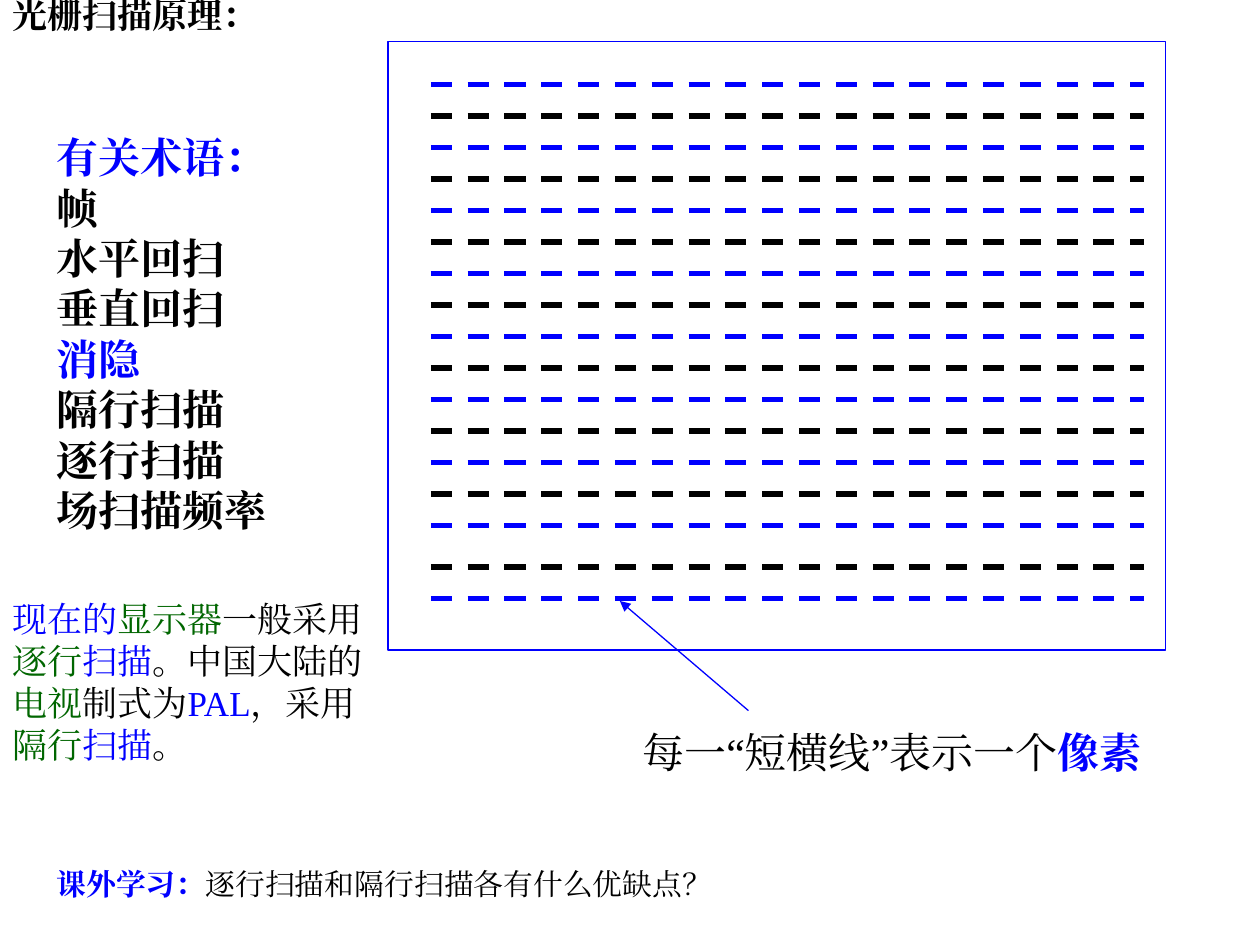
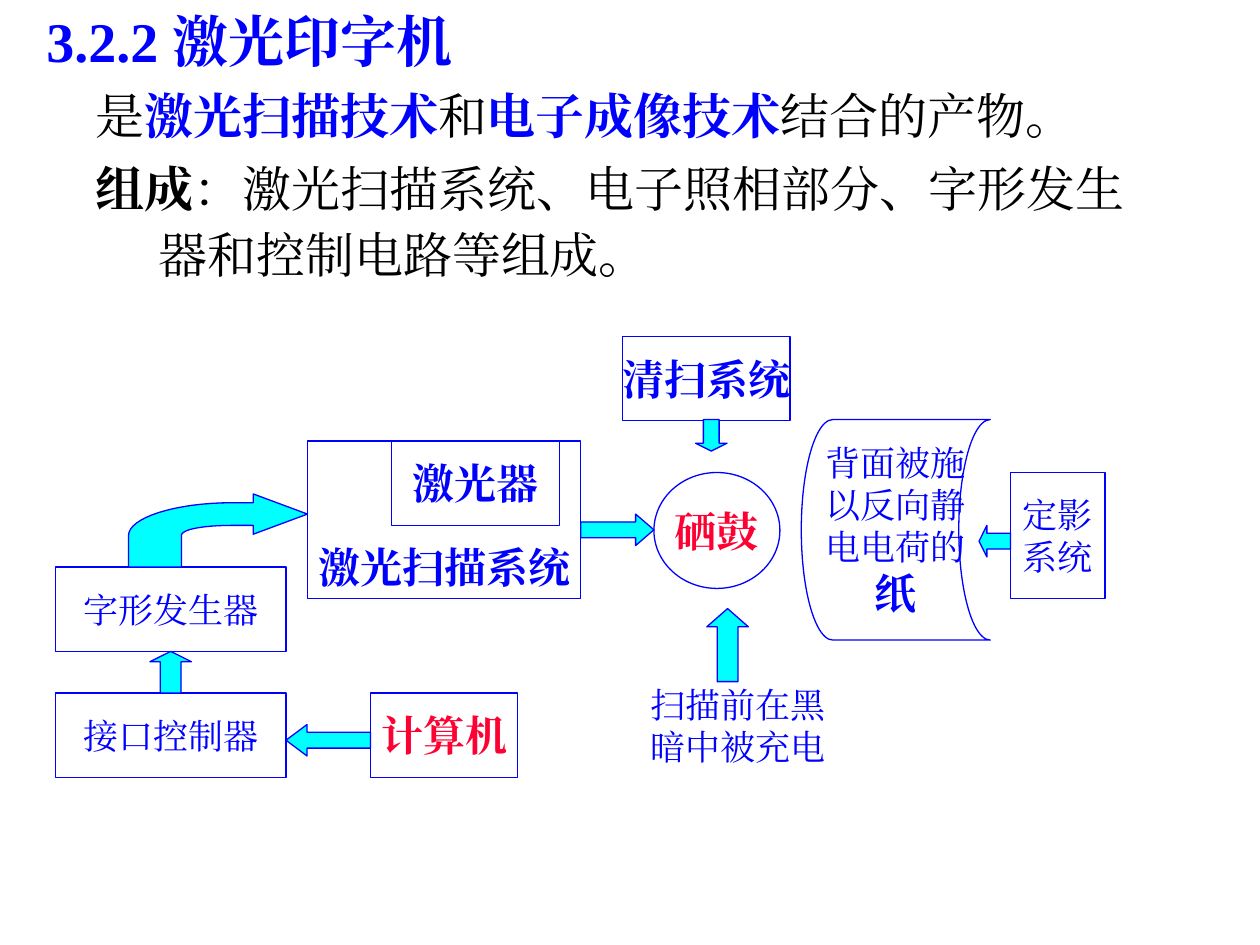
from lxml import etree
from pptx import Presentation
from pptx.dml.color import RGBColor
from pptx.enum.dml import MSO_LINE
from pptx.enum.lang import MSO_LANGUAGE_ID
from pptx.enum.shapes import MSO_CONNECTOR, MSO_SHAPE
from pptx.enum.text import MSO_ANCHOR, PP_ALIGN
from pptx.oxml.ns import qn
from pptx.util import Inches, Pt

BLUE = RGBColor(0x00, 0x00, 0xFF)
BLACK = RGBColor(0x00, 0x00, 0x00)
GREEN = RGBColor(0x00, 0x66, 0x00)
RED = RGBColor(0xFF, 0x00, 0x33)
CYAN = RGBColor(0x00, 0xFF, 0xFF)
WHITE = RGBColor(0xFF, 0xFF, 0xFF)

RECT, OVAL = MSO_SHAPE.RECTANGLE, MSO_SHAPE.OVAL
STORAGE = MSO_SHAPE.FLOWCHART_STORED_DATA
UP, DOWN = MSO_SHAPE.UP_ARROW, MSO_SHAPE.DOWN_ARROW
LEFT, RIGHT = MSO_SHAPE.LEFT_ARROW, MSO_SHAPE.RIGHT_ARROW
TOP, MIDDLE, BOTTOM = MSO_ANCHOR.TOP, MSO_ANCHOR.MIDDLE, MSO_ANCHOR.BOTTOM
ALIGN_LEFT, CENTER, JUSTIFY = PP_ALIGN.LEFT, PP_ALIGN.CENTER, PP_ALIGN.JUSTIFY
STRAIGHT, DASH = MSO_CONNECTOR.STRAIGHT, MSO_LINE.DASH
CHINESE = MSO_LANGUAGE_ID.SIMPLIFIED_CHINESE

FONT = "Times New Roman"
LINE_HEIGHT = 1.2
THIN, THICK = 0.75, 3

# A paragraph is (size, spans, options); a span is (text, colour, bold).
# Slide 1: raster scanning
SCREEN = (3.08, 0.33, 6.17, 4.83)
SCAN_COUNT, SCAN_TOP, SCAN_GAP = 17, 0.67, 0.25
SCAN_LEFT, SCAN_RIGHT = 3.42, 9.08
BREAK_AFTER, BREAK_GAP = 14, 0.08
PIXEL_POINTER = (5.94, 5.64, 4.92, 4.77)

TERMS = [("有关术语：", BLUE), ("帧", BLACK), ("水平回扫", BLACK),
         ("垂直回扫", BLACK), ("消隐", BLUE), ("隔行扫描", BLACK),
         ("逐行扫描", BLACK), ("场扫描频率", BLACK)]

SCAN_TEXTS = [
    ((0, 0, 3.03, 0.68), TOP,
     [(20, [("光栅扫描原理：", BLACK, True)], {"line_spacing": Pt(16.8)})]),
    ((0.35, 0.91, 2.05, 3.47), MIDDLE,
     [(24, [(term, color, True)], {}) for term, color in TERMS]),
    ((0, 4.69, 3.03, 1.44), TOP,
     [(20, [("现在的", BLUE, False), ("显示器", GREEN, False),
            ("一般采用", BLACK, False), ("逐行", GREEN, False),
            ("扫描", BLUE, False), ("。中国大陆的", BLACK, False),
            ("电视", GREEN, False), ("制式为", BLACK, False),
            ("PAL", BLUE, False), ("，采用", BLACK, False),
            ("隔行", GREEN, False), ("扫描", BLUE, False),
            ("。", BLACK, False)], {})]),
    ((5, 5.72, 4.17, 0.9), TOP,
     [(24, [("每一“短横线”表示一个", BLACK, False), ("像素", BLUE, True)], {})]),
    ((0.35, 6.82, 6.42, 0.39), TOP,
     [(17, [("课外学习：", BLUE, True),
            ("逐行扫描和隔行扫描各有什么优缺点？", BLACK, False)], {})]),
]

# Slide 2: laser printer
INTRO_AREA = (0.27, 0, 8.75, 2.5)
TITLE_TAB = 1.21
INTRO = [
    (32, [("3.2.2\t激光印字机", BLUE, True)], {}),
    (28, [("是", BLACK, False), ("激光扫描技术", BLUE, True),
          ("和", BLACK, False), ("电子成像技术", BLUE, True),
          ("结合的产物。", BLACK, False)],
     {"space_before": Pt(7), "margin": 0.39, "alignment": JUSTIFY}),
    (28, [("组成", BLACK, True),
          ("：激光扫描系统、电子照相部分、字形发生器和控制电路等组成。", BLACK, False)],
     {"space_before": Pt(4), "line_spacing": Pt(37.7), "margin": 0.89,
      "hanging": 0.5, "alignment": JUSTIFY}),
]

PLAIN, STRONG, KEY = (20, BLUE, False), (24, BLUE, True), (24, RED, True)
# (shape, area, anchor, outline, lines of text with their style)
PARTS = [
    (RECT, (0.44, 5.5, 1.83, 0.67), MIDDLE, BLUE, [("接口控制器", PLAIN)]),
    (RECT, (0.44, 4.5, 1.83, 0.67), MIDDLE, BLUE, [("字形发生器", PLAIN)]),
    (RECT, (2.44, 3.5, 2.17, 1.25), BOTTOM, BLUE, [("激光扫描系统", STRONG)]),
    (RECT, (3.11, 3.5, 1.33, 0.67), MIDDLE, BLUE, [("激光器", STRONG)]),
    (RECT, (2.94, 5.5, 1.17, 0.67), MIDDLE, BLUE, [("计算机", KEY)]),
    (OVAL, (5.19, 3.75, 1, 0.92), MIDDLE, BLUE, [("硒鼓", KEY)]),
    (RECT, (4.94, 2.67, 1.33, 0.67), MIDDLE, BLUE, [("清扫系统", STRONG)]),
    (RECT, (4.86, 5.42, 2, 0.67), MIDDLE, WHITE,
     [("扫描前在黑", PLAIN), ("暗中被充电", PLAIN)]),
    (RECT, (8.02, 3.75, 0.75, 1), MIDDLE, BLUE, [("定影", PLAIN), ("系统", PLAIN)]),
    (STORAGE, (6.36, 3.33, 1.5, 1.75), MIDDLE, BLUE,
     [("背面被施", PLAIN), ("以反向静", PLAIN), ("电电荷的", PLAIN), ("纸", STRONG)]),
]
# (shape, area, head length as a share of the shorter side)
ARROWS = [
    (UP, (1.19, 5.17, 0.33, 0.33), 0.25),
    (LEFT, (2.27, 5.75, 0.67, 0.25), 0.67),
    (RIGHT, (4.61, 4.08, 0.58, 0.25), 0.58),
    (DOWN, (5.52, 3.33, 0.25, 0.25), 0.25),
    (LEFT, (7.77, 4.17, 0.25, 0.25), 0.25),
    (UP, (5.61, 4.83, 0.33, 0.58), 0.44),
]
OUTER_BEND = [(1.02, 4.25), (1.02, 4.11), (1.39, 3.99), (1.84, 3.99)]
BEND_HEAD = [(2.01, 3.99), (2.01, 3.92), (2.44, 4.08), (2.01, 4.24), (2.01, 4.17)]
INNER_BEND = [(1.84, 4.17), (1.62, 4.17), (1.44, 4.2), (1.44, 4.25)]
BEND_START, BEND_END = (1.02, 4.5), (1.44, 4.5)
BEND_STEPS = 16


def inches(values):
    return [Inches(value) for value in values]


def set_all(target, values):
    for name, value in values.items():
        setattr(target, name, value)


def write(box, paragraphs, anchor, wrap=True):
    frame = box.text_frame
    set_all(frame, {"word_wrap": wrap, "vertical_anchor": anchor})
    for index, (size, spans, options) in enumerate(paragraphs):
        para = frame.add_paragraph() if index else frame.paragraphs[0]
        options = dict(options)
        margin, hanging = options.pop("margin", 0), options.pop("hanging", 0)
        properties = para._p.get_or_add_pPr()
        properties.set("marL", str(Inches(margin)))
        properties.set("indent", str(-Inches(hanging)))
        set_all(para, {"alignment": ALIGN_LEFT,
                       "line_spacing": Pt(size * LINE_HEIGHT), **options})
        for text, color, bold in spans:
            span = para.add_run()
            span.text = text
            set_all(span.font, {"name": FONT, "size": Pt(size), "bold": bold,
                                "language_id": CHINESE})
            span.font.color.rgb = color
            etree.SubElement(span.font._element, qn("a:ea"), typeface=FONT)
    return frame


def add_text(page, area, anchor, paragraphs):
    return write(page.shapes.add_textbox(*inches(area)), paragraphs, anchor)


def paint(shape, fill, outline=BLUE):
    shape.shadow.inherit = False
    shape.fill.solid()
    shape.fill.fore_color.rgb = fill
    shape.line.color.rgb = outline
    shape.line.width = Pt(THIN)


def add_shape(page, kind, area, fill, outline=BLUE):
    shape = page.shapes.add_shape(kind, *inches(area))
    paint(shape, fill, outline)
    return shape


def add_line(page, ends, color, width):
    line = page.shapes.add_connector(STRAIGHT, *inches(ends))
    line.line.color.rgb = color
    line.line.width = Pt(width)
    etree.SubElement(line._element.spPr, qn("a:effectLst"))
    return line


def curve(points):
    """Points along a cubic Bézier curve."""
    result = []
    for step in range(BEND_STEPS + 1):
        t = step / BEND_STEPS
        weights = ((1 - t) ** 3, 3 * t * (1 - t) ** 2, 3 * t * t * (1 - t), t ** 3)
        result.append(tuple(sum(w * point[axis] for w, point in zip(weights, points))
                            for axis in (0, 1)))
    return result


def add_bent_arrow(page):
    outline = curve(OUTER_BEND) + BEND_HEAD + curve(INNER_BEND) + [BEND_END]
    builder = page.shapes.build_freeform(*inches(BEND_START), scale=1.0)
    builder.add_line_segments([inches(point) for point in outline], close=True)
    paint(builder.convert_to_shape(), CYAN)


def build_scan_page(page):
    add_shape(page, RECT, SCREEN, WHITE)
    for index in range(SCAN_COUNT):
        y = SCAN_TOP + index * SCAN_GAP + (BREAK_GAP if index > BREAK_AFTER else 0)
        scan = add_line(page, (SCAN_LEFT, y, SCAN_RIGHT, y),
                        BLACK if index % 2 else BLUE, THICK)
        scan.line.dash_style = DASH
    pointer = add_line(page, PIXEL_POINTER, BLUE, THIN)
    etree.SubElement(pointer.line._get_or_add_ln(), qn("a:tailEnd"), type="triangle")
    for area, anchor, paragraphs in SCAN_TEXTS:
        add_text(page, area, anchor, paragraphs)


def build_printer_page(page):
    intro = add_text(page, INTRO_AREA, TOP, INTRO)
    title_properties = intro.paragraphs[0]._p.get_or_add_pPr()
    tabs = etree.SubElement(title_properties, qn("a:tabLst"))
    etree.SubElement(tabs, qn("a:tab"), pos=str(Inches(TITLE_TAB)), algn="l")
    for kind, area, anchor, outline, lines in PARTS:
        part = add_shape(page, kind, area, WHITE, outline)
        write(part, [(size, [(text, color, bold)], {"alignment": CENTER})
                     for text, (size, color, bold) in lines], anchor, wrap=False)
    for kind, area, head in ARROWS:
        add_shape(page, kind, area, CYAN).adjustments[1] = head
    add_bent_arrow(page)


def main():
    deck = Presentation()
    deck.slide_width, deck.slide_height = inches((10, 7.5))
    for build in (build_scan_page, build_printer_page):
        build(deck.slides.add_slide(deck.slide_layouts[6]))
    deck.save("out.pptx")


if __name__ == "__main__":
    main()
